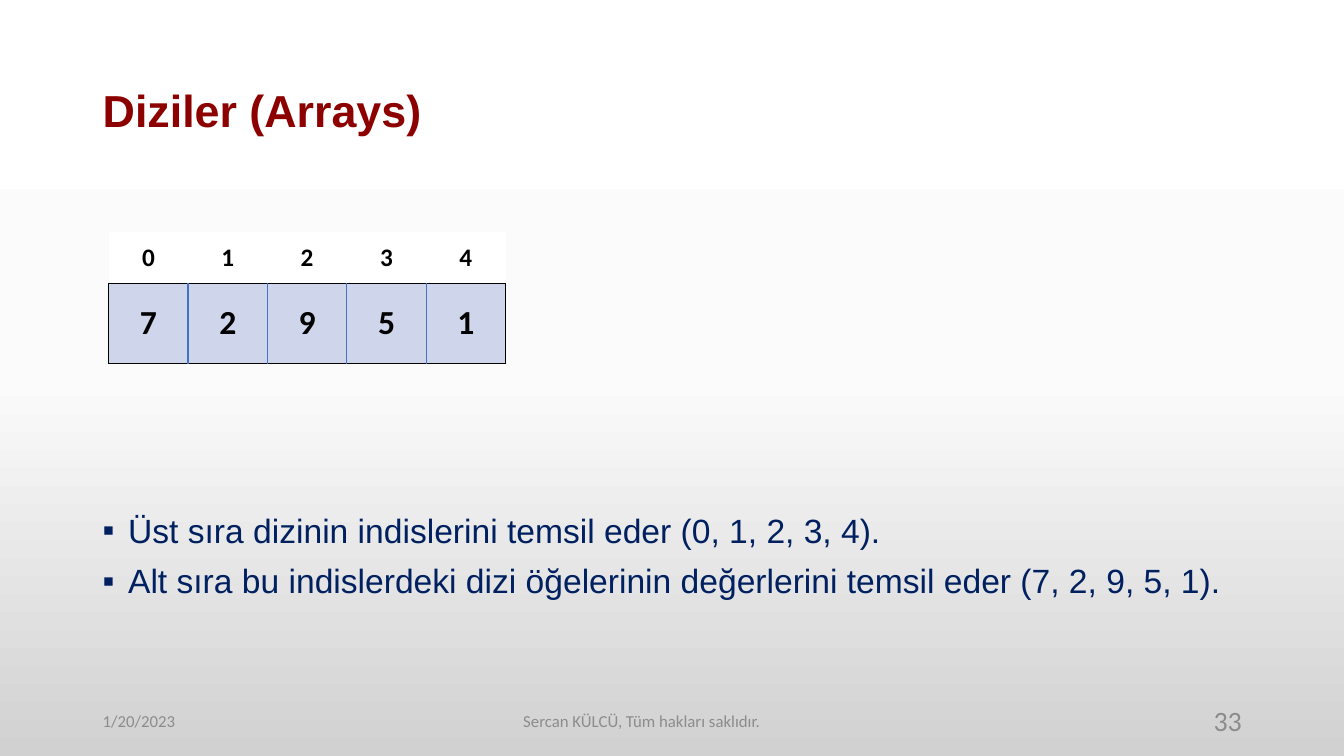
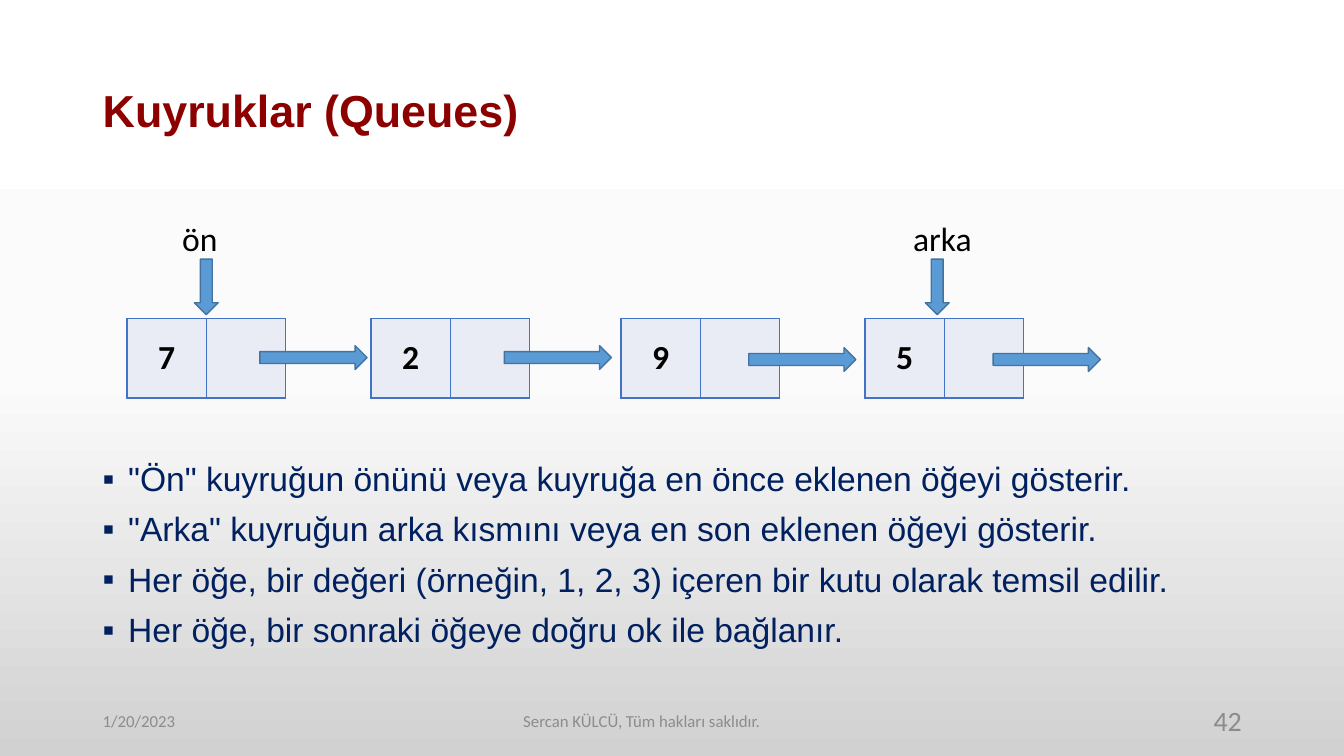
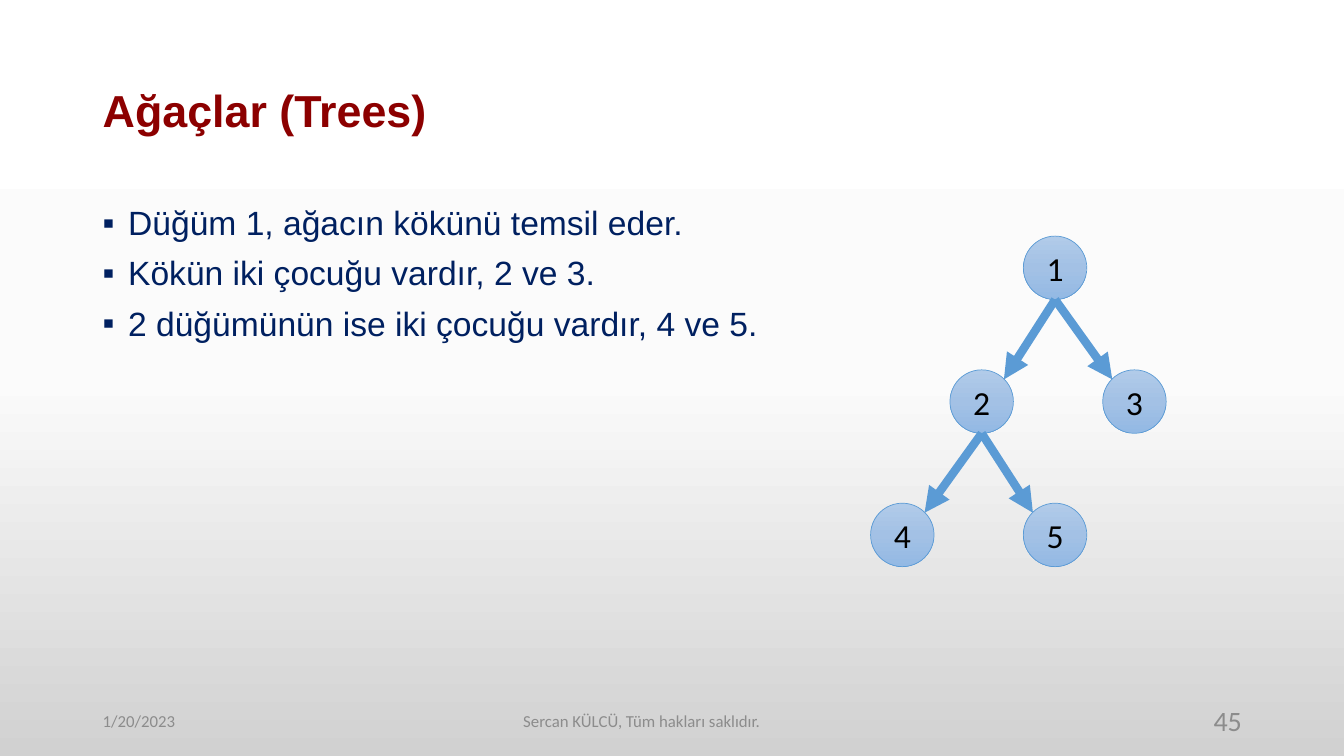
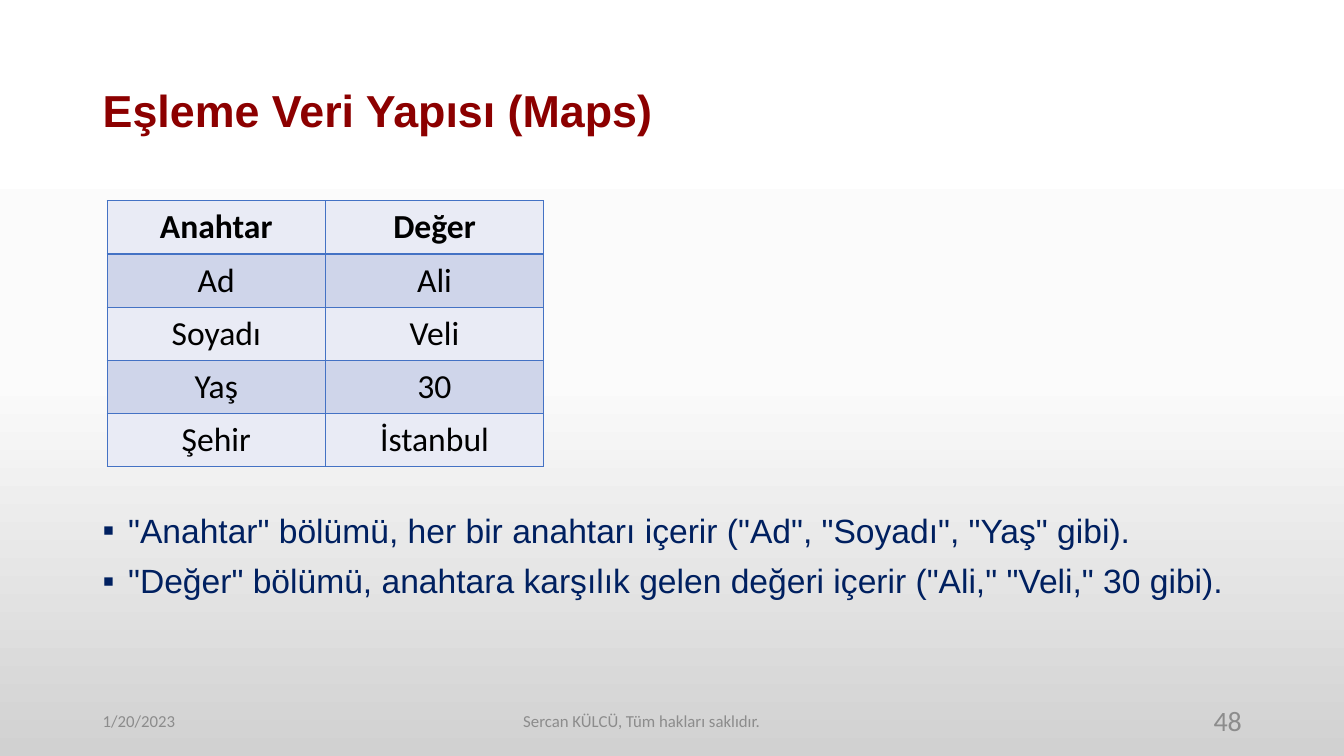
from lxml import etree
from pptx import Presentation
from pptx.dml.color import RGBColor
from pptx.enum.shapes import MSO_CONNECTOR, MSO_SHAPE
from pptx.enum.text import MSO_ANCHOR, PP_ALIGN
from pptx.oxml.ns import qn
from pptx.util import Cm, Pt

LEFT, MID, RIGHT, JUST = PP_ALIGN.LEFT, PP_ALIGN.CENTER, PP_ALIGN.RIGHT, PP_ALIGN.JUSTIFY
TOP, CENTER = MSO_ANCHOR.TOP, MSO_ANCHOR.MIDDLE
OVAL, EAST, SOUTH = MSO_SHAPE.OVAL, MSO_SHAPE.RIGHT_ARROW, MSO_SHAPE.DOWN_ARROW
LINE = MSO_CONNECTOR.STRAIGHT

HEAD, BODY = "Arial", "Calibri"
RED, NAVY, GRAY, BLACK, WHITE = "8C0000", "002060", "8C8C8C", "000000", "FFFFFF"
BLUE, EDGE, GRID = "5B9BD5", "43739E", "4472C4"
PALE, BAND = "E9EBF5", "CFD5EA"
PAGE = ["FFFFFF", "FBFBFB", "D1D1D1"]
BALL = ["B1CBE9", "A3C1E5", "93B9E4"]
PLAIN = "{2D5ABB26-0587-4C30-8999-92F81FD0307C}"
EDGE_X, WIDE = 2.34, 29.21  # left margin and content width


# Basics
def rgb(code):
    return RGBColor.from_string(code)


def place(*box):
    return [Cm(v) for v in box]


def fade(fill, root, codes):
    """Vertical gradient with evenly spaced stops."""
    fill.gradient()
    fill.gradient_angle = 270
    stops = root.find(".//" + qn("a:gsLst"))
    for old in list(stops):
        stops.remove(old)
    for i, code in enumerate(codes):
        stop = etree.SubElement(stops, qn("a:gs"), pos=str(i * 100000 // (len(codes) - 1)))
        etree.SubElement(stop, qn("a:srgbClr"), val=code)


def style(para, size, color, face=BODY, bold=False, align=LEFT):
    para.alignment = align
    font = para.font
    font.size, font.name, font.bold = Pt(size), face, bold
    font.color.rgb = rgb(color)


def text(slide, box, words, size, color, anchor=CENTER, wrap=True, **look):
    frame = slide.shapes.add_textbox(*place(*box)).text_frame
    frame.word_wrap, frame.vertical_anchor = wrap, anchor
    para = frame.paragraphs[0]
    para.text = words
    style(para, size, color, **look)
    return para


def shape(slide, kind, box, line, width):
    item = slide.shapes.add_shape(kind, *place(*box))
    item.shadow.inherit = False
    item.line.color.rgb = rgb(line)
    item.line.width = Pt(width)
    return item


def arrow(slide, kind, box):
    item = shape(slide, kind, box, EDGE, 1)
    item.fill.solid()
    item.fill.fore_color.rgb = rgb(BLUE)


# Shared page parts
def page(deck, title, number):
    slide = deck.slides.add_slide(deck.slide_layouts[6])
    para = text(slide, (EDGE_X, 1.02, WIDE, 3.68), title, 32, RED, face=HEAD, bold=True)
    para.line_spacing = 0.9
    foot, tall = 17.65, 1.02
    text(slide, (EDGE_X, foot, 7.62, tall), "1/20/2023", 12, GRAY)
    text(slide, (6.55, foot, 19.25, tall), "Sercan KÜLCÜ, Tüm hakları saklıdır.", 12, GRAY, align=MID)
    text(slide, (23.93, foot, 7.62, tall), str(number), 20, GRAY, align=RIGHT)
    return slide


def bullets(slide, top, lines):
    box = slide.shapes.add_textbox(*place(EDGE_X, top, WIDE, 1.27 * len(lines) + 0.25))
    frame = box.text_frame
    frame.word_wrap, frame.vertical_anchor = True, TOP
    for i, line in enumerate(lines):
        para = frame.add_paragraph() if i else frame.paragraphs[0]
        para.text = line
        para.line_spacing = 0.9
        if i:
            para.space_before = Pt(10)
        props = para._p.get_or_add_pPr()
        props.set("marL", str(Cm(0.64)))
        props.set("indent", str(-Cm(0.64)))
        etree.SubElement(props, qn("a:buFont"), typeface=HEAD)
        etree.SubElement(props, qn("a:buChar"), char="▪")
        style(para, 24, NAVY, face=HEAD, align=JUST)


# Tables
def cell(item, words, fill, edges, size=24, bold=True):
    """Edges are the left, right, top and bottom colours, or None."""
    props = item._tc.get_or_add_tcPr()
    for side, code in zip("LRTB", edges):
        if code:
            line = etree.SubElement(props, qn("a:ln" + side), w=str(Pt(1)))
            paint = etree.SubElement(line, qn("a:solidFill"))
            etree.SubElement(paint, qn("a:srgbClr"), val=code)
    item.fill.solid()
    item.fill.fore_color.rgb = rgb(fill)
    item.vertical_anchor = CENTER
    if words:
        para = item.text_frame.paragraphs[0]
        para.text = words
        style(para, size, BLACK, bold=bold, align=MID)


def table(slide, x, y, wide, rows, cols):
    """Unstyled table; rows is the list of row heights."""
    grid = slide.shapes.add_table(len(rows), cols, *place(x, y, wide * cols, sum(rows))).table
    grid.first_row = grid.horz_banding = False
    grid._tbl.tblPr.find(qn("a:tableStyleId")).text = PLAIN
    for row, tall in zip(grid.rows, rows):
        row.height = Cm(tall)
    for col in grid.columns:
        col.width = Cm(wide)
    return grid


def array(slide, x, y, values):
    last = len(values) - 1
    grid = table(slide, x, y, 2, [1.3, 2], len(values))
    for i, value in enumerate(values):
        cell(grid.cell(0, i), str(i), WHITE, (None, None, None, BLACK), size=18)
        edges = (GRID if i else BLACK, GRID if i < last else BLACK, BLACK, BLACK)
        cell(grid.cell(1, i), value, BAND, edges)


def pairs(slide, x, y, rows):
    grid = table(slide, x, y, 5.5, [1.34] * len(rows), 2)
    for r, row in enumerate(rows):
        for c, words in enumerate(row):
            cell(grid.cell(r, c), words, BAND if r % 2 else PALE, [GRID] * 4, bold=r == 0)


# Diagrams
def queue(slide, x, y, nodes):
    """Each node is a value, its box offset and its arrow offset."""
    for value, dx, _ in nodes:
        grid = table(slide, x + dx, y, 2, [2], 2)
        cell(grid.cell(0, 0), value, PALE, [GRID] * 4)
        cell(grid.cell(0, 1), "", PALE, [GRID] * 4)
    for i, (_, _, dy) in enumerate(nodes):
        arrow(slide, EAST, (x + 3.35 + 6.16 * i, y + dy, 2.7, 0.6))
    for words, dx, wide in (("ön", 1.7, 1.42), ("arka", 20.12, 2)):
        arrow(slide, SOUTH, (x + dx, y - 1.5, 0.6, 1.4))
        text(slide, (x + dx - 0.56, y - 2.67, wide, 1.28), words, 24, BLACK, anchor=TOP, wrap=False)


def tree(slide, x, y, nodes, links):
    size = 1.6
    for name, (dx, dy) in nodes.items():
        ball = shape(slide, OVAL, (x + dx, y + dy, size, size), BLUE, 0.5)
        fade(ball.fill, ball._element, BALL)
        frame = ball.text_frame
        frame.margin_left = frame.margin_right = 0
        frame.vertical_anchor = CENTER
        para = frame.paragraphs[0]
        para.text = name
        style(para, 24, BLACK, align=MID)
    for up, down in links:
        (ux, uy), (dx, dy) = nodes[up], nodes[down]
        side = 0.85 if dx < ux else 0.15  # corner facing the parent
        ends = (x + ux + size / 2, y + uy + size, x + dx + side * size, y + dy + 0.15 * size)
        link = slide.shapes.add_connector(LINE, *place(*ends))
        link.line.color.rgb = rgb(BLUE)
        link.line.width = Pt(6)
        etree.SubElement(link.line._get_or_add_ln(), qn("a:tailEnd"), type="triangle")
        etree.SubElement(link._element.spPr, qn("a:effectLst"))


def main():
    deck = Presentation()
    deck.slide_width, deck.slide_height = place(33.87, 19.05)
    master = deck.slide_master
    fade(master.background.fill, master.element, PAGE)

    # Arrays
    slide = page(deck, "Diziler (Arrays)", 33)
    bullets(slide, 12.83, [
        "Üst sıra dizinin indislerini temsil eder (0, 1, 2, 3, 4).",
        "Alt sıra bu indislerdeki dizi öğelerinin değerlerini temsil eder (7, 2, 9, 5, 1).",
    ])
    array(slide, 2.74, 5.85, "72951")

    # Queues
    slide = page(deck, "Kuyruklar (Queues)", 42)
    bullets(slide, 11.53, [
        '"Ön" kuyruğun önünü veya kuyruğa en önce eklenen öğeyi gösterir.',
        '"Arka" kuyruğun arka kısmını veya en son eklenen öğeyi gösterir.',
        "Her öğe, bir değeri (örneğin, 1, 2, 3) içeren bir kutu olarak temsil edilir.",
        "Her öğe, bir sonraki öğeye doğru ok ile bağlanır.",
    ])
    queue(slide, 3.2, 8.03, [("7", 0, 0.68), ("2", 6.15, 0.68), ("9", 12.45, 0.73), ("5", 18.6, 0.73)])

    # Trees
    slide = page(deck, "Ağaçlar (Trees)", 45)
    bullets(slide, 5.08, [
        "Düğüm 1, ağacın kökünü temsil eder.",
        "Kökün iki çocuğu vardır, 2 ve 3.",
        "2 düğümünün ise iki çocuğu vardır, 4 ve 5.",
    ])
    nodes = {"1": (3.85, 0), "2": (2, 3.37), "3": (5.85, 3.37), "4": (0, 6.73), "5": (3.85, 6.73)}
    tree(slide, 21.94, 5.95, nodes, ["12", "24", "13", "25"])

    # Maps
    slide = page(deck, "Eşleme Veri Yapısı (Maps)", 48)
    bullets(slide, 12.83, [
        '"Anahtar" bölümü, her bir anahtarı içerir ("Ad", "Soyadı", "Yaş" gibi).',
        '"Değer" bölümü, anahtara karşılık gelen değeri içerir ("Ali," "Veli," 30 gibi).',
    ])
    pairs(slide, 2.7, 5.06, [
        ("Anahtar", "Değer"), ("Ad", "Ali"), ("Soyadı", "Veli"), ("Yaş", "30"), ("Şehir", "İstanbul"),
    ])
    deck.save("out.pptx")


if __name__ == "__main__":
    main()
